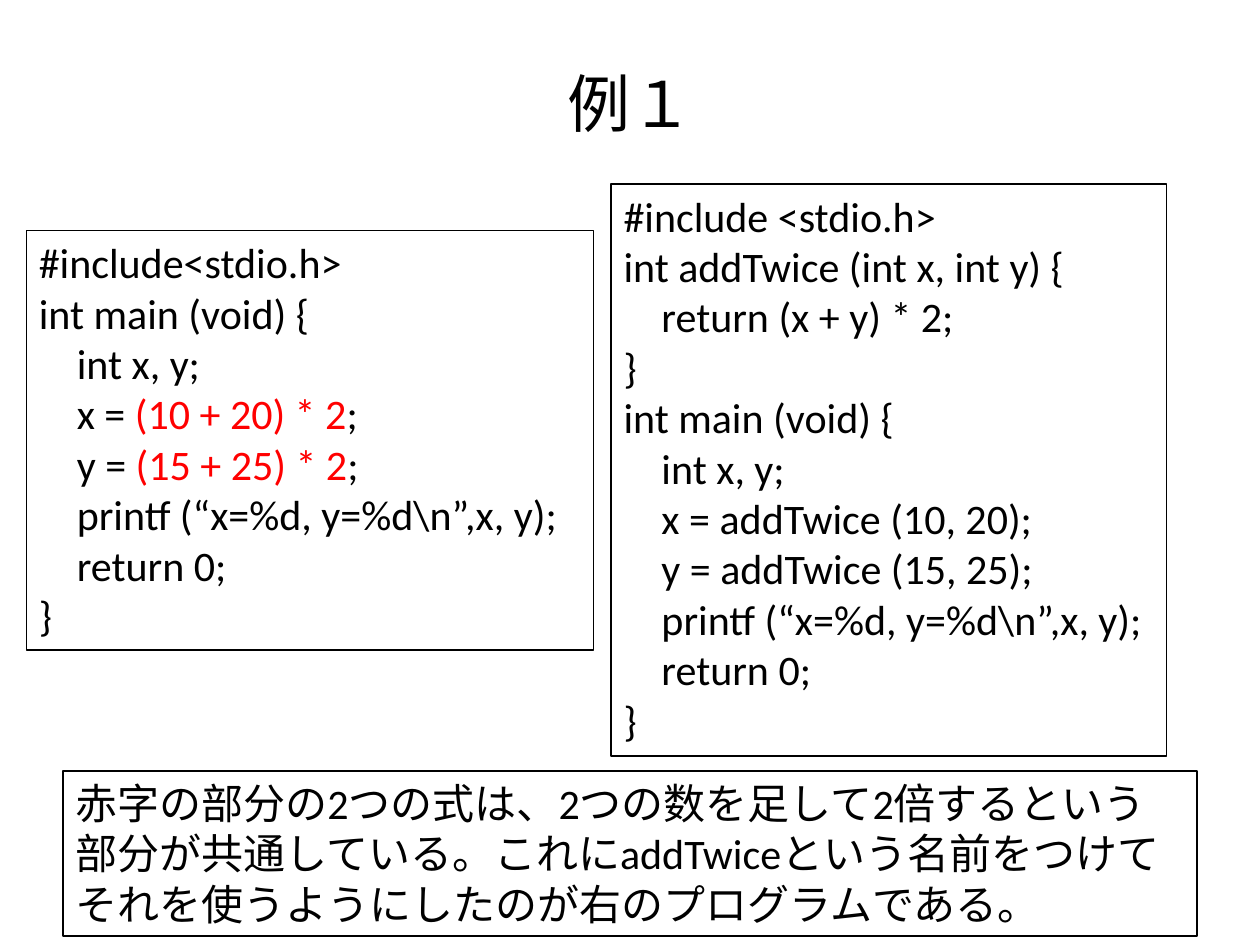
from dataclasses import dataclass

from pptx import Presentation
from pptx.dml.color import RGBColor
from pptx.enum.text import MSO_ANCHOR, MSO_AUTO_SIZE, PP_ALIGN
from pptx.util import Inches, Pt

MIDDLE = MSO_ANCHOR.MIDDLE
GROW = MSO_AUTO_SIZE.SHAPE_TO_FIT_TEXT
CENTER = PP_ALIGN.CENTER
FONT = "Calibri"
BLACK = "000000"
RED = "FF0000"
MARK = "|"

LONG_CODE = r"""#include <stdio.h>
int addTwice (int x, int y) {
    return (x + y) * 2;
}
int main (void) {
    int x, y;
    x = addTwice (10, 20);
    y = addTwice (15, 25);
    printf (“x=%d, y=%d\n”,x, y);
    return 0;
}"""

SHORT_CODE = r"""#include<stdio.h>
int main (void) {
    int x, y;
    x = |(10 + 20) * 2|;
    y = |(15 + 25) * 2|;
    printf (“x=%d, y=%d\n”,x, y);
    return 0;
}"""

NOTE = (
    "赤字の部分の2つの式は、2つの数を足して2倍するという部分が共通している。"
    "これにaddTwiceという名前をつけてそれを使うようにしたのが右のプログラムである。"
)


@dataclass
class Panel:
    """A framed text whose marked parts are red."""
    left: float
    top: float
    width: float
    height: float
    text: str


PANELS = [
    Panel(4.85, 1.46, 4.41, 4.54, LONG_CODE),
    Panel(0.5, 6.12, 9, 1.31, NOTE),
    Panel(0.21, 1.83, 4.5, 3.33, SHORT_CODE),
]


def color(code: str) -> RGBColor:
    """Turn a hex string into a colour."""
    return RGBColor.from_string(code)


def style(run, size: float, code: str = BLACK) -> None:
    """Set the font of a run."""
    run.font.name = FONT
    run.font.size = Pt(size)
    run.font.color.rgb = color(code)


def add_title(slide, text: str) -> None:
    """Fill and place the title."""
    title = slide.shapes.title
    title.left, title.top = Inches(0.5), Inches(0.19)
    title.width, title.height = Inches(9), Inches(1.25)
    frame = title.text_frame
    frame.text = text
    frame.vertical_anchor = MIDDLE
    line = frame.paragraphs[0]
    line.alignment = CENTER
    style(line.runs[0], 36)


def add_panel(slide, panel: Panel) -> None:
    """Draw a framed panel with its lines of text."""
    box = slide.shapes.add_textbox(
        Inches(panel.left), Inches(panel.top),
        Inches(panel.width), Inches(panel.height))
    box.line.color.rgb = color(BLACK)
    box.line.width = Pt(0.75)
    frame = box.text_frame
    frame.word_wrap = True
    frame.auto_size = GROW
    frame.text = panel.text.replace(MARK, "")
    for line, text in zip(frame.paragraphs, panel.text.split("\n")):
        parts = text.split(MARK)
        line.text = parts[0]
        for part in parts[1:]:
            line.add_run().text = part
        for place, run in enumerate(line.runs):
            style(run, 24, RED if place % 2 else BLACK)


def main() -> None:
    """Build and save the slide."""
    deck = Presentation()
    deck.slide_width, deck.slide_height = Inches(10), Inches(7.5)
    slide = deck.slides.add_slide(deck.slide_layouts[5])
    add_title(slide, "例１")
    for panel in PANELS:
        add_panel(slide, panel)
    deck.save("out.pptx")


if __name__ == "__main__":
    main()
